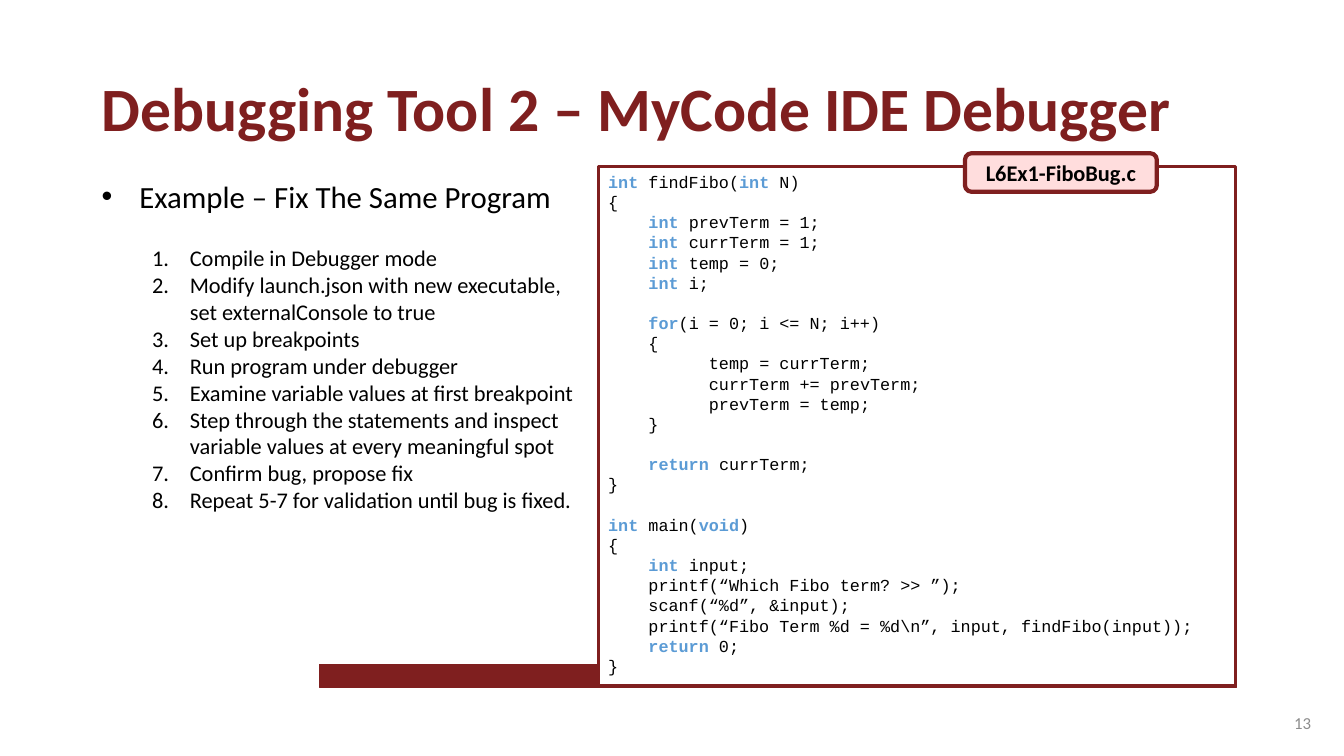
from lxml import etree
from pptx import Presentation
from pptx.dml.color import RGBColor
from pptx.enum import shapes, text
from pptx.oxml.ns import qn
from pptx.util import Pt

MAROON, BLUE, BLACK, GREY = "7F1F1F", "5B9BD5", "000000", "8C8C8C"
WHITE, PINK = "FFFFFF", "FFDDDD"
LINE_RATIO = 1.2
CODE_SIZE = 12
TAB = 28.8  # four code characters

STEPS = [
    "Compile in Debugger mode",
    "Modify launch.json with new executable, set externalConsole to true",
    "Set up breakpoints",
    "Run program under debugger",
    "Examine variable values at first breakpoint",
    "Step through the statements and inspect variable values at every meaningful spot",
    "Confirm bug, propose fix",
    "Repeat 5-7 for validation until bug is fixed.",
]

# Blocks of (indent, code); keywords stand between backticks
CODE_BLOCKS = [
    [(0, "`int `findFibo(`int `N)"),
     (0, "{"),
     (TAB, "`int `prevTerm = 1;"),
     (TAB, "`int `currTerm = 1;"),
     (TAB, "`int `temp = 0;"),
     (TAB, "`int `i;")],
    [(TAB, "`for`(i = 0; i <= N; i++)"),
     (TAB, "{"),
     (72, "temp = currTerm;"),
     (72, "currTerm += prevTerm;"),
     (72, "prevTerm = temp;"),
     (TAB, "}")],
    [(TAB, "`return `currTerm;"),
     (0, "}")],
    [(0, "`int` main(`void`)"),
     (0, "{"),
     (TAB, "`int` input;"),
     (TAB, "printf(“Which Fibo term? >> ”);"),
     (TAB, "scanf(“%d”, &input);"),
     (TAB, "printf(“Fibo Term %d = %d\\n”, input, findFibo(input));"),
     (TAB, "`return` 0;"),
     (0, "}")],
]


def colour(code):
    return RGBColor.from_string(code)


def add_run(paragraph, words, size, ink, bold=False, font="Calibri"):
    run = paragraph.add_run()
    run.text = words
    run.font.name, run.font.size, run.font.bold = font, Pt(size), bold
    run.font.color.rgb = colour(ink)


def next_paragraph(frame):
    """Give the unused first paragraph, or a new one."""
    first = frame.paragraphs[0]
    return first if not first.runs else frame.add_paragraph()


def set_paragraph(paragraph, size, indent=0, hanging=0, before=0):
    paragraph.alignment = text.PP_ALIGN.LEFT
    paragraph.line_spacing = Pt(size * LINE_RATIO)
    paragraph.space_before = Pt(before)
    properties = paragraph._p.get_or_add_pPr()
    properties.set("marL", str(Pt(indent)))
    properties.set("indent", str(Pt(-hanging)))
    return properties


def add_panel(slide, box, kind, fill, line, weight):
    panel = slide.shapes.add_shape(kind, *map(Pt, box))
    panel.shadow.inherit = False
    panel.fill.solid()
    panel.fill.fore_color.rgb = colour(fill)
    panel.line.color.rgb = colour(line)
    panel.line.width = Pt(weight)
    return panel


def add_title(slide, box):
    title = slide.shapes.title
    title.left, title.top, title.width, title.height = map(Pt, box)
    frame = title.text_frame
    frame.word_wrap = False
    frame.auto_size = text.MSO_AUTO_SIZE.NONE
    frame.vertical_anchor = text.MSO_ANCHOR.TOP
    heading = frame.paragraphs[0]
    set_paragraph(heading, 44)
    add_run(heading, "Debugging Tool 2 – MyCode IDE Debugger", 44, MAROON, True)


def add_steps(slide, box):
    frame = slide.shapes.add_textbox(*map(Pt, box)).text_frame
    frame.word_wrap = True
    # Bulleted topic
    topic = next_paragraph(frame)
    bullet = set_paragraph(topic, 22, 27, 27)
    etree.SubElement(bullet, qn("a:buFont"), typeface="Arial")
    etree.SubElement(bullet, qn("a:buChar"), char="•")
    add_run(topic, "Example – Fix The Same Program", 22, BLACK)
    # Numbered steps
    for index, words in enumerate(STEPS):
        step = next_paragraph(frame)
        number = set_paragraph(step, 16, 63, 27, 0 if index else 21.6)
        etree.SubElement(number, qn("a:buFont"), typeface="+mj-lt")
        etree.SubElement(number, qn("a:buAutoNum"), type="arabicPeriod")
        add_run(step, words, 16, BLACK)


def add_code(slide, box):
    left, top, width, height = box
    listing = add_panel(slide, box, shapes.MSO_SHAPE.RECTANGLE, WHITE, MAROON, 2.25)
    frame = listing.text_frame
    frame.word_wrap = True
    frame.vertical_anchor = text.MSO_ANCHOR.TOP
    for block_index, block in enumerate(CODE_BLOCKS):
        for row, (indent, code) in enumerate(block):
            line = next_paragraph(frame)
            gap = CODE_SIZE * LINE_RATIO if block_index and not row else 0
            set_paragraph(line, CODE_SIZE, indent, before=gap)
            for part, words in enumerate(code.split("`")):
                keyword = part % 2 == 1
                if words:
                    add_run(line, words, CODE_SIZE, BLUE if keyword else BLACK,
                            keyword, "Courier New")
    # File name tag on the top edge
    tag_box = (left + width - 193, top - 9.6, 137, 27.5)
    tag = add_panel(slide, tag_box, shapes.MSO_SHAPE.ROUNDED_RECTANGLE,
                    PINK, MAROON, 3)
    tag.text_frame.vertical_anchor = text.MSO_ANCHOR.MIDDLE
    file_name = tag.text_frame.paragraphs[0]
    file_name.alignment = text.PP_ALIGN.CENTER
    add_run(file_name, "L6Ex1-FiboBug.c", 16, BLACK, True)


def add_page_number(slide, box):
    frame = slide.shapes.add_textbox(*map(Pt, box)).text_frame
    frame.word_wrap = True
    frame.vertical_anchor = text.MSO_ANCHOR.MIDDLE
    number = frame.paragraphs[0]
    number.alignment = text.PP_ALIGN.RIGHT
    add_run(number, "13", 12, GREY)


def main():
    deck = Presentation()
    deck.slide_width, deck.slide_height = Pt(960), Pt(540)
    slide = deck.slides.add_slide(deck.slide_layouts[5])
    # Footer bar
    add_panel(slide, (228.2, 474.5, 655, 16.5), shapes.MSO_SHAPE.RECTANGLE,
              MAROON, MAROON, 1)
    add_title(slide, (65.5, 46, 820, 60.5))
    add_steps(slide, (65.5, 123.1, 361.5, 288.7))
    add_page_number(slide, (727.6, 501.8, 216, 28.8))
    add_code(slide, (427.3, 119.1, 455, 370.8))
    deck.save("out.pptx")


if __name__ == "__main__":
    main()
